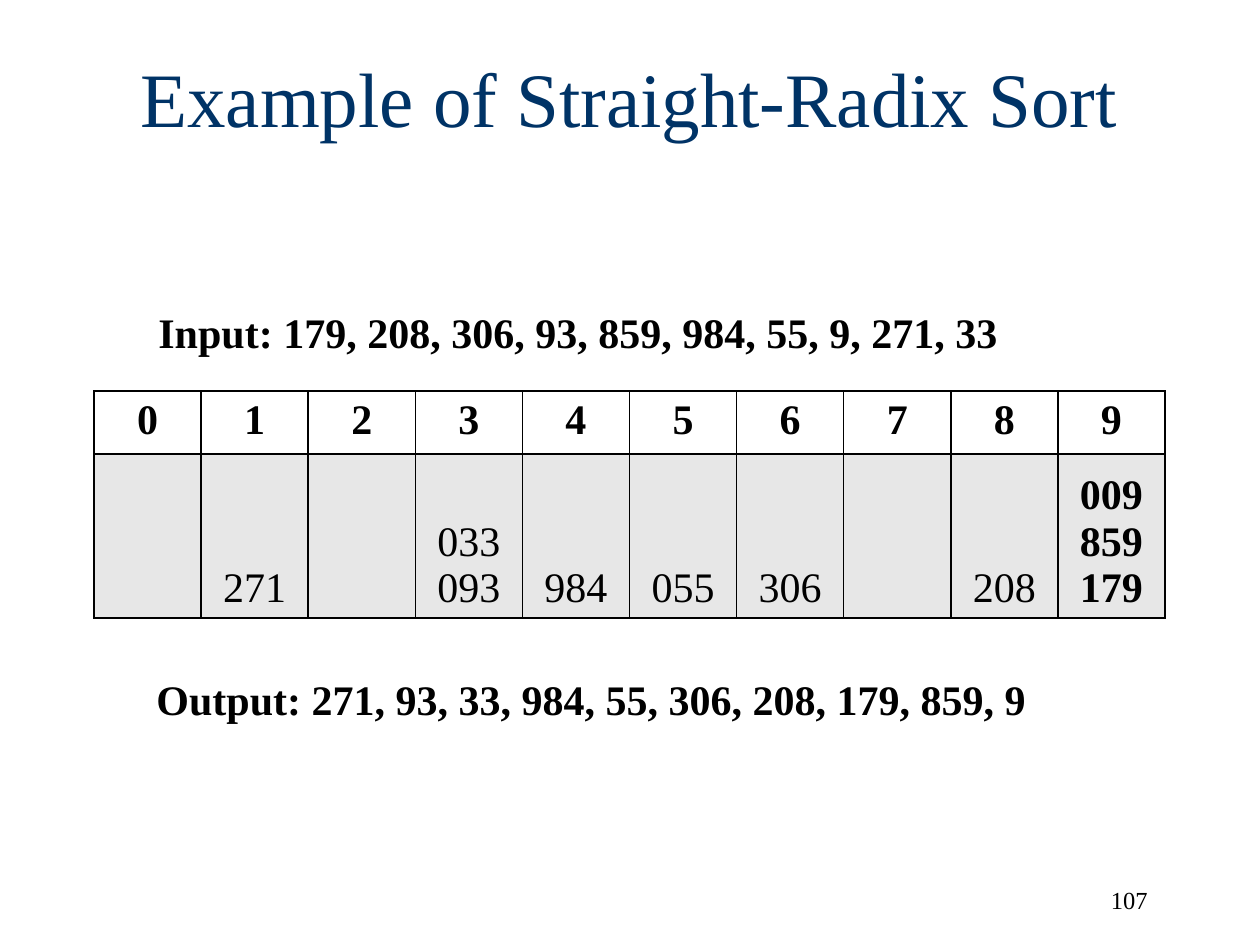
import pptx
import pptx.dml.color
import pptx.enum.text
import pptx.oxml
import pptx.oxml.ns
import pptx.util

SCALE = 914400 / 126
BLACK = pptx.dml.color.RGBColor(0, 0, 0)
WHITE = pptx.dml.color.RGBColor(255, 255, 255)
GREY = pptx.dml.color.RGBColor(0xE7, 0xE7, 0xE7)
NAVY = pptx.dml.color.RGBColor(0, 0x33, 0x66)
ALIGN = pptx.enum.text.PP_ALIGN
ANCHOR = pptx.enum.text.MSO_ANCHOR


def emu(px):
    return pptx.util.Emu(round(px * SCALE))


class Page:
    font = "Times New Roman"

    def __init__(self, deck):
        self.slide = deck.slides.add_slide(deck.slide_layouts[6])

    def letter(self, frame, text, size, color=BLACK, bold=False, align=ALIGN.LEFT):
        frame.text = text
        for para in frame.paragraphs:
            para.alignment = align
            for font in [para.font] + [run.font for run in para.runs]:
                font.name = self.font
                font.size = pptx.util.Pt(size)
                font.bold = bold
                font.color.rgb = color

    def label(self, box, text, size, anchor=ANCHOR.TOP, wrap=True, **style):
        frame = self.slide.shapes.add_textbox(*map(emu, box)).text_frame
        frame.word_wrap = wrap
        frame.vertical_anchor = anchor
        self.letter(frame, text, size, **style)

    def border(self, cell):
        props = cell._tc.get_or_add_tcPr()
        for index, side in enumerate(("lnL", "lnR", "lnT", "lnB")):
            line = pptx.oxml.parse_xml(
                f'<a:{side} {pptx.oxml.ns.nsdecls("a")} w="12700"><a:solidFill>'
                f'<a:srgbClr val="{BLACK}"/></a:solidFill></a:{side}>'
            )
            props.insert(index, line)

    def table(self, box, rows, heights, fills, anchors, bold):
        count = len(rows[0])
        frame = self.slide.shapes.add_table(len(rows), count, *map(emu, box))
        grid = frame.table
        for col in grid.columns:
            col.width = emu(box[2] / count)
        for r, row in enumerate(rows):
            grid.rows[r].height = emu(heights[r])
            for c, text in enumerate(row):
                cell = grid.cell(r, c)
                cell.fill.solid()
                cell.fill.fore_color.rgb = fills[r]
                cell.vertical_anchor = anchors[r]
                self.letter(cell.text_frame, text, 24, bold=bold(r, c), align=ALIGN.CENTER)
                self.border(cell)


def main():
    deck = pptx.Presentation()
    deck.slide_width = emu(1260)
    deck.slide_height = emu(945)
    page = Page(deck)

    page.label((898, 879, 262, 63), "107", 14, align=ALIGN.RIGHT)
    page.label((94, 18, 1071, 158), "Example of Straight-Radix Sort", 44,
               anchor=ANCHOR.MIDDLE, color=NAVY, align=ALIGN.CENTER)
    page.label((146, 300, 873, 64), "Input: 179, 208, 306, 93, 859, 984, 55, 9, 271, 33",
               24, wrap=False, bold=True)

    heads = [str(digit) for digit in range(10)]
    piles = ["", "271", "", "033\n093", "984", "055", "306", "", "208", "009\n859\n179"]
    page.table((94, 391, 1071, 227), [heads, piles], (63, 164), (WHITE, GREY),
               (ANCHOR.TOP, ANCHOR.BOTTOM), lambda r, c: r == 0 or c == 9)

    page.label((144, 667, 903, 64), "Output: 271, 93, 33, 984, 55, 306, 208, 179, 859, 9",
               24, wrap=False, bold=True)
    deck.save("out.pptx")


if __name__ == "__main__":
    main()
